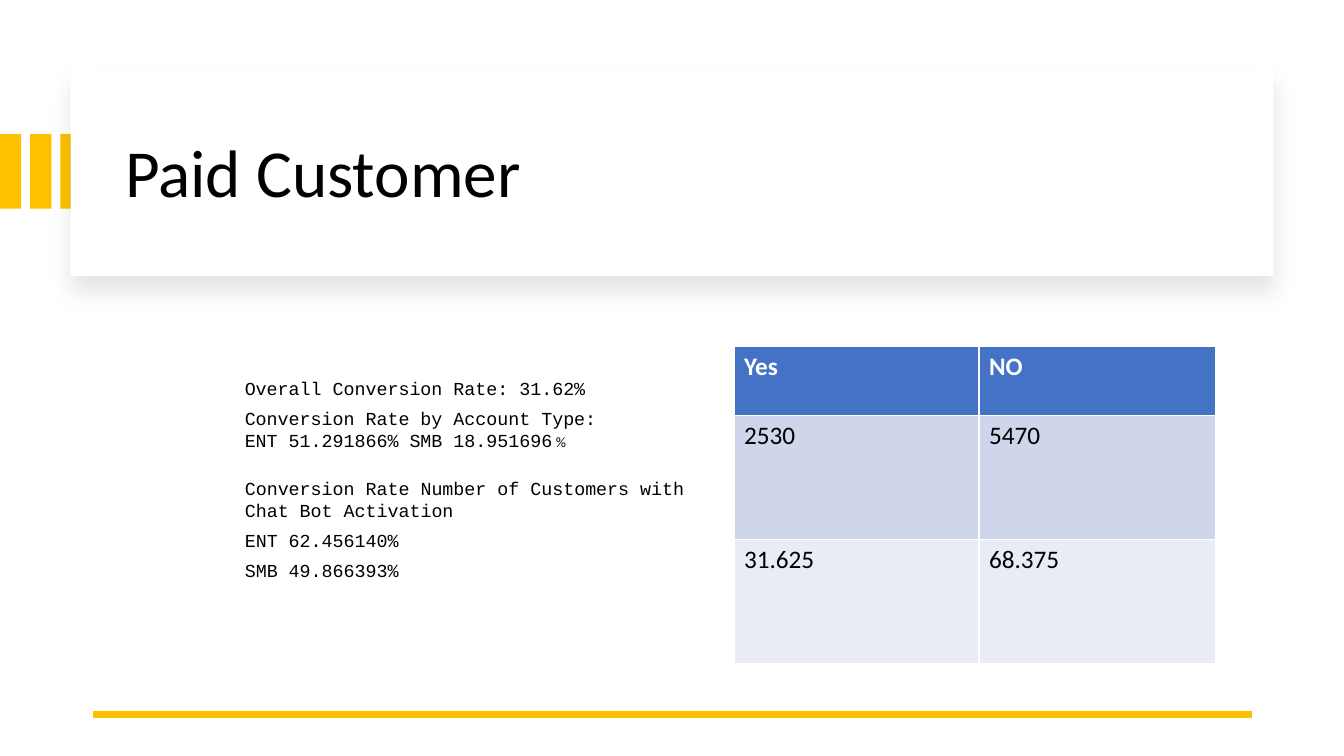
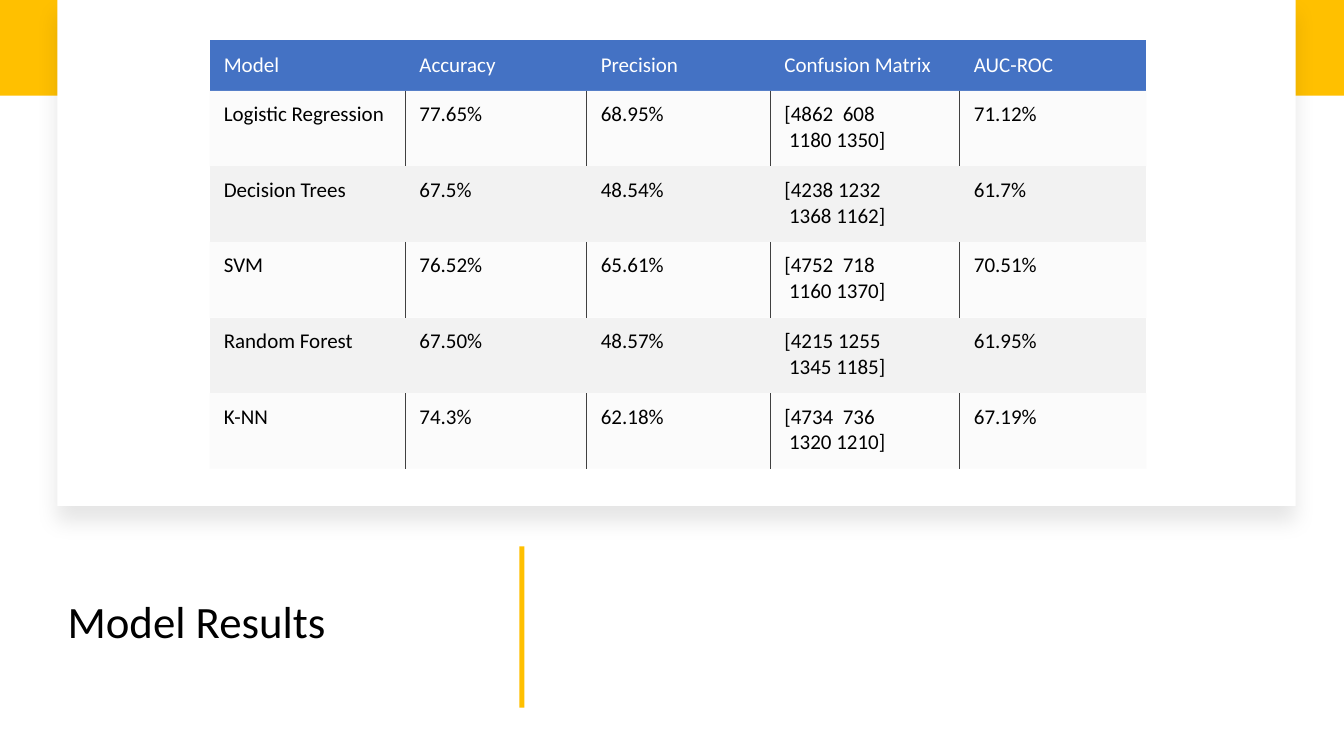
from lxml import etree
from pptx import Presentation
from pptx.dml.color import RGBColor
from pptx.enum.shapes import MSO_CONNECTOR, MSO_SHAPE
from pptx.enum.text import MSO_ANCHOR, MSO_AUTO_SIZE, PP_ALIGN
from pptx.oxml import parse_xml
from pptx.oxml.ns import nsdecls, qn
from pptx.util import Inches, Pt

RECT = MSO_SHAPE.RECTANGLE
STRAIGHT = MSO_CONNECTOR.STRAIGHT
MIDDLE, TOP = MSO_ANCHOR.MIDDLE, MSO_ANCHOR.TOP
LEFT = PP_ALIGN.LEFT
NO_FIT = MSO_AUTO_SIZE.NONE

HEX = {
    "accent": "FFC000", "white": "FFFFFF", "black": "000000",
    "header": "4472C4", "band1": "CFD5EA", "band2": "E9EBF5",
    "grey": "F2F2F2", "rule": "404040",
}
COLORS = {name: RGBColor.from_string(value) for name, value in HEX.items()}
FONT, MONO = "Calibri", "Courier New"

SHADOW = (
    f'<a:outerShdw {nsdecls("a")} blurRad="{Pt(15)}" dist="{Pt(11)}" dir="5400000" '
    f'algn="t" rotWithShape="0"><a:srgbClr val="{HEX["black"]}">'
    '<a:alpha val="10000"/></a:srgbClr></a:outerShdw>'
)


def add_rect(s, x, y, w, h, color, shadow=False):
    sp = s.shapes.add_shape(RECT, Inches(x), Inches(y), Inches(w), Inches(h))
    sp.fill.solid()
    sp.fill.fore_color.rgb = COLORS[color]
    sp.line.fill.background()
    sp.shadow.inherit = False
    if shadow:
        sp._element.spPr.find(qn("a:effectLst")).append(parse_xml(SHADOW))


def style_text(tf, size, color, font=FONT, bold=False):
    for p in tf.paragraphs:
        for r in p.runs:
            r.font.size = Pt(size)
            r.font.name = font
            r.font.bold = bold
            r.font.color.rgb = COLORS[color]


prs = Presentation()
prs.slide_width, prs.slide_height = Inches(13.33), Inches(7.5)

TITLES = [
    ("Paid Customer", 48, (1.14, 0.89, 11.13, 1.7)),
    ("Model Results", 32, (0.57, 5.34, 4.24, 1.7)),
]
BARS = [
    [(0.3 * i, 1.33, 0.21, 0.74) for i in range(3)],
    [(0, 0, 13.33, 0.95), (5.15, 5.42, 0.05, 1.6)],
]
CARDS = [(0.7, 0.67, 11.93, 2.07), (0.57, 0, 12.28, 5.02)]

for (text, size, box), bars, card in zip(TITLES, BARS, CARDS):
    s = prs.slides.add_slide(prs.slide_layouts[5])
    for bar in bars:
        add_rect(s, *bar, "accent")
    add_rect(s, *card, "white", shadow=True)
    title = s.shapes.title
    title.left, title.top, title.width, title.height = map(Inches, box)
    tf = title.text_frame
    tf.text = text
    tf.auto_size = NO_FIT
    tf.vertical_anchor = MIDDLE
    tf.paragraphs[0].alignment = LEFT
    tf.paragraphs[0].line_spacing = 0.9
    style_text(tf, size, "black")
    title._element.getparent().append(title._element)

paid, results = prs.slides

line = paid.shapes.add_connector(STRAIGHT, Inches(12.42), Inches(7.09), Inches(0.92), Inches(7.09))
line.line.color.rgb = COLORS["accent"]
line.line.width = Pt(4.5)
etree.SubElement(line._element.spPr, qn("a:effectLst"))

RATES = [
    ((2.33, 3.69, 4.04, 0.85), [
        "Overall Conversion Rate: 31.62%",
        "Conversion Rate by Account Type: ENT 51.291866% SMB 18.951696",
    ]),
    ((2.33, 4.68, 4.92, 1.15), [
        "Conversion Rate Number of Customers with Chat Bot Activation",
        "ENT 62.456140%",
        "SMB 49.866393%",
    ]),
]
rate_frames = []
for box, lines in RATES:
    tf = paid.shapes.add_textbox(*map(Inches, box)).text_frame
    tf.word_wrap = True
    tf.text = "\n".join(lines)
    style_text(tf, 13.1, "black", MONO)
    for p in tf.paragraphs:
        p.space_after = Pt(6)
    rate_frames.append(tf)
r = rate_frames[0].paragraphs[1].add_run()
r.text = " %"
r.font.size, r.font.name = Pt(10.2), FONT
r.font.color.rgb = COLORS["black"]

PAID_ROWS = [("Yes", "NO"), ("2530", "5470"), ("31.625", "68.375")]
MODEL_ROWS = [
    ("Model", "Accuracy", "Precision", "Confusion Matrix", "AUC-ROC"),
    ("Logistic Regression", "77.65%", "68.95%", "[4862  608\n 1180 1350]", "71.12%"),
    ("Decision Trees", "67.5%", "48.54%", "[4238 1232\n 1368 1162]", "61.7%"),
    ("SVM", "76.52%", "65.61%", "[4752  718\n 1160 1370]", "70.51%"),
    ("Random Forest", "67.50%", "48.57%", "[4215 1255\n 1345 1185]", "61.95%"),
    ("K-NN", "74.3%", "62.18%", "[4734  736\n 1320 1210]", "67.19%"),
]
TABLES = [
    (paid, 7.28, 3.44, PAID_ROWS, [2.43, 2.35], [0.68, 1.23, 1.23], 18, ("band1", "band2")),
    (results, 2.08, 0.4, MODEL_ROWS, [1.94, 1.8, 1.82, 1.88, 1.85], [0.5] + [0.75] * 5, 15,
     ("grey", "grey")),
]
tables = []
for s, x, y, rows, widths, heights, size, bands in TABLES:
    table = s.shapes.add_table(len(rows), len(widths), Inches(x), Inches(y),
                               Inches(sum(widths)), Inches(sum(heights))).table
    for col, width in zip(table.columns, widths):
        col.width = Inches(width)
    for i, (row, height) in enumerate(zip(rows, heights)):
        table.rows[i].height = Inches(height)
        for cell, text in zip(table.rows[i].cells, row):
            cell.text_frame.text = text
            style_text(cell.text_frame, size, "black" if i else "white",
                       bold=s is paid and i == 0)
            cell.fill.solid()
            cell.fill.fore_color.rgb = COLORS[bands[(i - 1) % 2] if i else "header"]
    tables.append(table)

last = len(MODEL_ROWS[0]) - 1
for i, row in enumerate(tables[1].rows):
    for j, cell in enumerate(row.cells):
        cell.margin_left = Inches(0.14)
        cell.margin_top = cell.margin_right = cell.margin_bottom = Inches(0.11)
        cell.vertical_anchor = TOP if i else MIDDLE
        tcPr = cell._tc.get_or_add_tcPr()
        ruled = {"L": i % 2 and j > 0, "R": i % 2 and j < last, "T": False, "B": False}
        for k, (side, shown) in enumerate(ruled.items()):
            ln = etree.Element(qn(f"a:ln{side}"), w=str(Pt(0.5)))
            if shown:
                fill = etree.SubElement(ln, qn("a:solidFill"))
                etree.SubElement(fill, qn("a:srgbClr"), val=HEX["rule"])
            else:
                etree.SubElement(ln, qn("a:noFill"))
            tcPr.insert(k, ln)
        if i % 2:
            clr = tcPr.find(qn("a:solidFill")).find(qn("a:srgbClr"))
            etree.SubElement(clr, qn("a:alpha"), val="30000")

prs.save("out.pptx")
